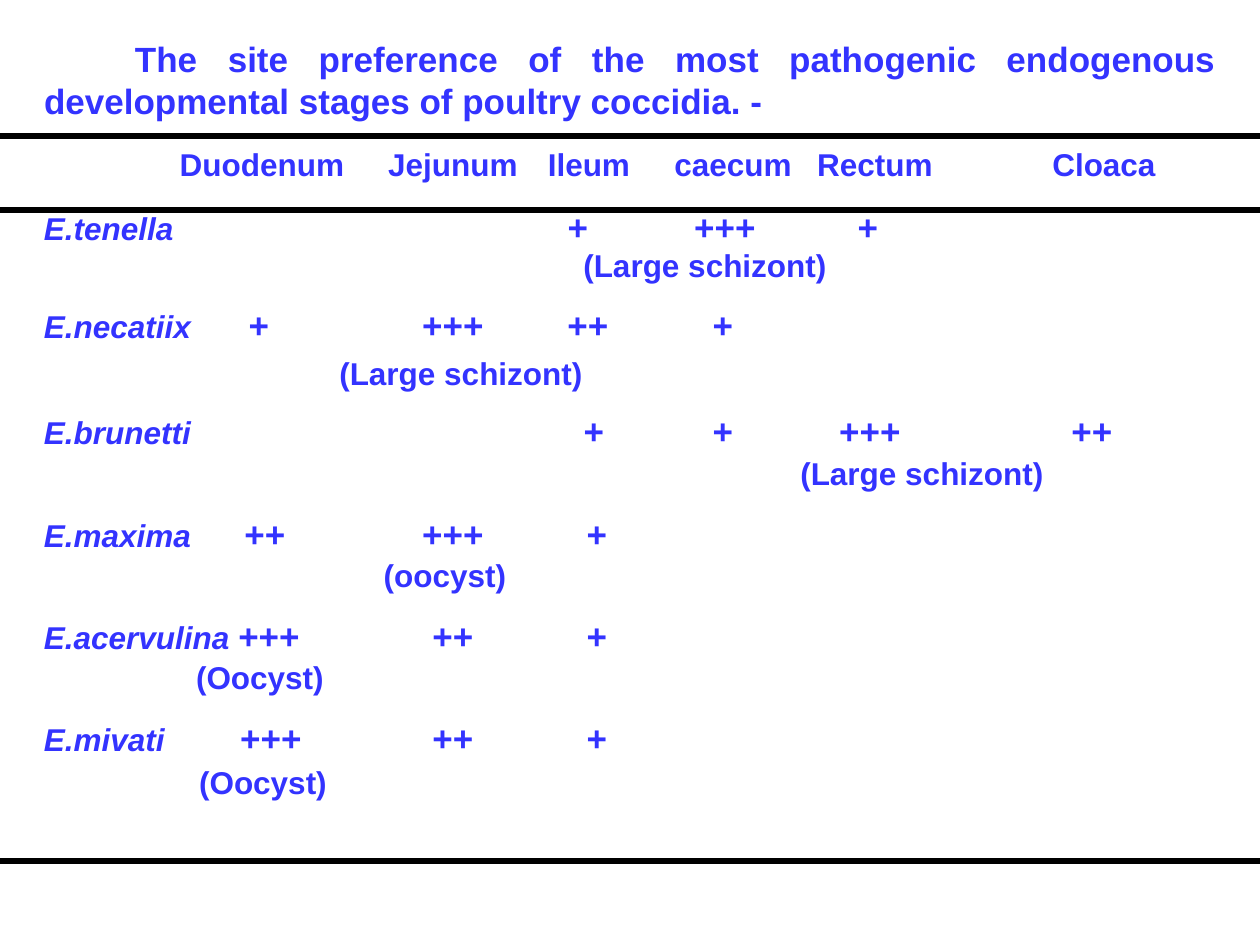
from lxml import etree
from pptx import Presentation, util as u
from pptx.dml.color import RGBColor
from pptx.enum import shapes, text
from pptx.oxml import ns

EMU_PER_PX = 914400 // 126
COLORS = {"ink": "3333FF", "rule": "000000"}
FONT = "Arial"
LEFT, TEXT_WIDTH = 44, 1172

HEADING = ("The site preference of the most pathogenic endogenous "
           "developmental stages of poultry coccidia. -")
# Cells of a row are keyed by the px position of their centre
SITES = {262: "Duodenum", 453: "Jejunum", 589: "Ileum",
         733: "caecum", 875: "Rectum", 1104: "Cloaca"}
# Species, marks, stage, gap above species, gap above stage
SPECIES = [
    ("E.tenella", {578: "+", 725: "+++", 868: "+"},
     {705: "(Large schizont)"}, 29, 2),
    ("E.necatiix", {259: "+", 453: "+++", 588: "++", 723: "+"},
     {461: "(Large schizont)"}, 26, 12),
    ("E.brunetti", {594: "+", 723: "+", 870: "+++", 1092: "++"},
     {922: "(Large schizont)"}, 24, 6),
    ("E.maxima", {265: "++", 453: "+++", 597: "+"}, {445: "(oocyst)"}, 27, 5),
    ("E.acervulina", {269: "+++", 453: "++", 597: "+"}, {260: "(Oocyst)"}, 27, 5),
    ("E.mivati", {271: "+++", 453: "++", 597: "+"}, {263: "(Oocyst)"}, 27, 8),
]
RULES = [136, 210, 861]


def px(length):
    return u.Emu(length * EMU_PER_PX)


def add_run(paragraph, content, size=18, italic=False):
    run = paragraph.add_run()
    run.text = content
    font = run.font
    font.name, font.size = FONT, u.Pt(size)
    font.bold, font.italic = True, italic
    font.color.rgb = RGBColor.from_string(COLORS["ink"])


def prepare_frame(frame):
    frame.word_wrap = True
    frame.auto_size = text.MSO_AUTO_SIZE.NONE
    frame.vertical_anchor = text.MSO_ANCHOR.TOP
    frame.margin_left = frame.margin_right = 0
    frame.margin_top = frame.margin_bottom = 0


def set_center_tabs(paragraph, centers):
    """Put a centred tab stop at each slide position in px."""
    properties = paragraph._p.get_or_add_pPr()
    stops = etree.SubElement(properties, ns.qn("a:tabLst"))
    for center in centers:
        etree.SubElement(stops, ns.qn("a:tab"),
                         pos=str(px(center - LEFT)), algn="ctr")


def add_row(frame, cells, label="", gap=0, size=18):
    """Write one line: a label, then each cell on its own tab stop."""
    first = not frame.paragraphs[0].runs
    row = frame.paragraphs[0] if first else frame.add_paragraph()
    set_center_tabs(row, cells)
    row.line_spacing = u.Pt(20)
    row.space_before = px(gap)
    if label:
        add_run(row, label, italic=True)
    add_run(row, "".join("\t" + cell for cell in cells.values()), size=size)


def add_heading(slide):
    title = slide.shapes.title
    title.left, title.top = px(LEFT), px(37)
    title.width, title.height = px(TEXT_WIDTH), px(88)
    prepare_frame(title.text_frame)
    paragraph = title.text_frame.paragraphs[0]
    paragraph.alignment = text.PP_ALIGN.JUSTIFY
    paragraph.line_spacing = u.Pt(24)
    paragraph._p.get_or_add_pPr().set("indent", str(px(91)))
    add_run(paragraph, HEADING, size=20)


def add_site_rows(slide):
    box = slide.shapes.add_textbox(px(LEFT), px(148), px(TEXT_WIDTH), px(660))
    frame = box.text_frame
    prepare_frame(frame)
    add_row(frame, SITES)
    for species, marks, stage, species_gap, stage_gap in SPECIES:
        add_row(frame, marks, label=species, gap=species_gap, size=20)
        add_row(frame, stage, gap=stage_gap)


def add_rule(slide, y, width):
    rule = slide.shapes.add_connector(
        shapes.MSO_CONNECTOR.STRAIGHT, 0, px(y), width, px(y))
    rule.line.color.rgb = RGBColor.from_string(COLORS["rule"])
    rule.line.width = u.Pt(3)
    etree.SubElement(rule._element.spPr, ns.qn("a:effectLst"))


def main():
    deck = Presentation()
    deck.slide_width, deck.slide_height = u.Inches(10), u.Inches(7.5)
    slide = deck.slides.add_slide(deck.slide_layouts.get_by_name("Title Only"))
    add_heading(slide)
    add_site_rows(slide)
    for y in RULES:
        add_rule(slide, y, deck.slide_width)
    deck.save("out.pptx")


if __name__ == "__main__":
    main()
